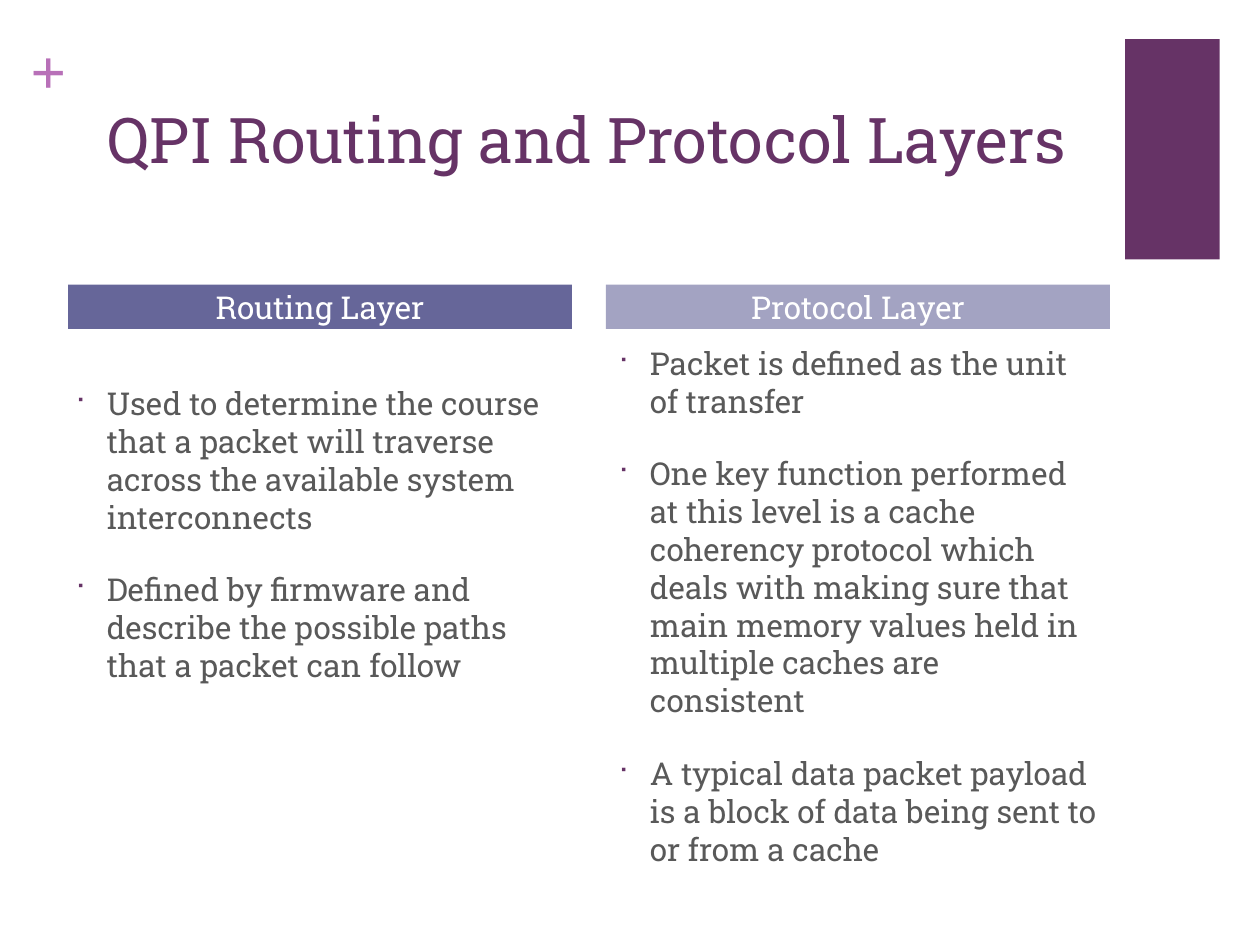
from lxml import etree
from pptx import Presentation
from pptx import util as u
from pptx.dml.color import RGBColor
from pptx.enum import shapes, text
from pptx.oxml.ns import qn

PURPLE = "663366"
ORCHID = "B870B8"
GRAY = "595959"
WHITE = "FFFFFF"
COLUMN_WIDTH = 4


def color(value):
    return RGBColor.from_string(value)


def box(left, top, width, height):
    return [u.Inches(length) for length in (left, top, width, height)]


class SlideBuilder:
    font = "Roboto Slab"
    body_size = 18
    title_size = 36

    def __init__(self, presentation):
        self.slide = presentation.slides.add_slide(presentation.slide_layouts[5])

    def add_run(self, paragraph, words, size, fill, font=None, bold=False):
        run = paragraph.add_run()
        run.text = words
        run.font.name = font or self.font
        run.font.size = u.Pt(size)
        run.font.bold = bold
        run.font.color.rgb = color(fill)

    def title(self, words, *place):
        shape = self.slide.shapes.title
        shape.left, shape.top, shape.width, shape.height = box(*place)
        frame = shape.text_frame
        frame.word_wrap = True
        frame.auto_size = text.MSO_AUTO_SIZE.NONE
        frame.vertical_anchor = text.MSO_ANCHOR.TOP
        paragraph = frame.paragraphs[0]
        paragraph.alignment = text.PP_ALIGN.LEFT
        self.add_run(paragraph, words, self.title_size, PURPLE)

    def rectangle(self, fill, *place):
        shape = self.slide.shapes.add_shape(shapes.MSO_SHAPE.RECTANGLE, *box(*place))
        shape.shadow.inherit = False
        shape.fill.solid()
        shape.fill.fore_color.rgb = color(fill)
        shape.line.fill.background()
        return shape

    def heading(self, words, fill, *place):
        frame = self.rectangle(fill, *place).text_frame
        frame.word_wrap = True
        frame.margin_top = frame.margin_bottom = 0
        frame.vertical_anchor = text.MSO_ANCHOR.MIDDLE
        paragraph = frame.paragraphs[0]
        paragraph.alignment = text.PP_ALIGN.CENTER
        self.add_run(paragraph, words, self.body_size, WHITE)

    def plus_sign(self, *place):
        frame = self.slide.shapes.add_textbox(*box(*place)).text_frame
        frame.margin_left = frame.margin_right = 0
        frame.margin_top = frame.margin_bottom = 0
        frame.auto_size = text.MSO_AUTO_SIZE.SHAPE_TO_FIT_TEXT
        self.add_run(frame.paragraphs[0], "+", 36, ORCHID, "Times New Roman", True)

    def bullet(self, paragraph):
        properties = paragraph._p.get_or_add_pPr()
        properties.set("marL", str(u.Inches(0.25)))
        properties.set("indent", str(-u.Inches(0.25)))
        bullet_color = etree.SubElement(properties, qn("a:buClr"))
        etree.SubElement(bullet_color, qn("a:srgbClr"), val=PURPLE)
        etree.SubElement(properties, qn("a:buSzPct"), val="75000")
        etree.SubElement(properties, qn("a:buFont"), typeface="Wingdings")
        etree.SubElement(properties, qn("a:buChar"), char="■")

    def bullet_list(self, items, *place):
        frame = self.slide.shapes.add_textbox(*box(*place)).text_frame
        frame.word_wrap = True
        for index, item in enumerate(items):
            paragraph = frame.add_paragraph() if index else frame.paragraphs[0]
            paragraph.space_before = u.Pt(20)
            self.bullet(paragraph)
            self.add_run(paragraph, item, self.body_size, GRAY)


def main():
    presentation = Presentation()
    presentation.slide_width = u.Inches(10)
    presentation.slide_height = u.Inches(7.5)

    builder = SlideBuilder(presentation)
    builder.rectangle(PURPLE, 8.93, 0.31, 0.75, 1.75)
    builder.plus_sign(0.24, 0.25, 0.29, 0.61)
    builder.title("QPI Routing and Protocol Layers", 0.75, 0.75, 8.26, 1.22)

    routing = [
        "Used to determine the course that a packet will traverse across the "
        "available system interconnects",
        "Defined by firmware and describe the possible paths that a packet can follow",
    ]
    protocol = [
        "Packet is defined as the unit of transfer",
        "One key function performed at this level is a cache coherency protocol "
        "which deals with making sure that main memory values held in multiple "
        "caches are consistent",
        "A typical data packet payload is a block of data being sent to or from a cache",
    ]
    builder.bullet_list(routing, 0.5, 3, COLUMN_WIDTH, 4.02)
    builder.bullet_list(protocol, 4.81, 2.68, COLUMN_WIDTH, 4.49)
    builder.heading("Routing Layer", "666699", 0.54, 2.26, COLUMN_WIDTH, 0.35)
    builder.heading("Protocol Layer", "A3A3C2", 4.81, 2.26, COLUMN_WIDTH, 0.35)

    presentation.save("out.pptx")


if __name__ == "__main__":
    main()
